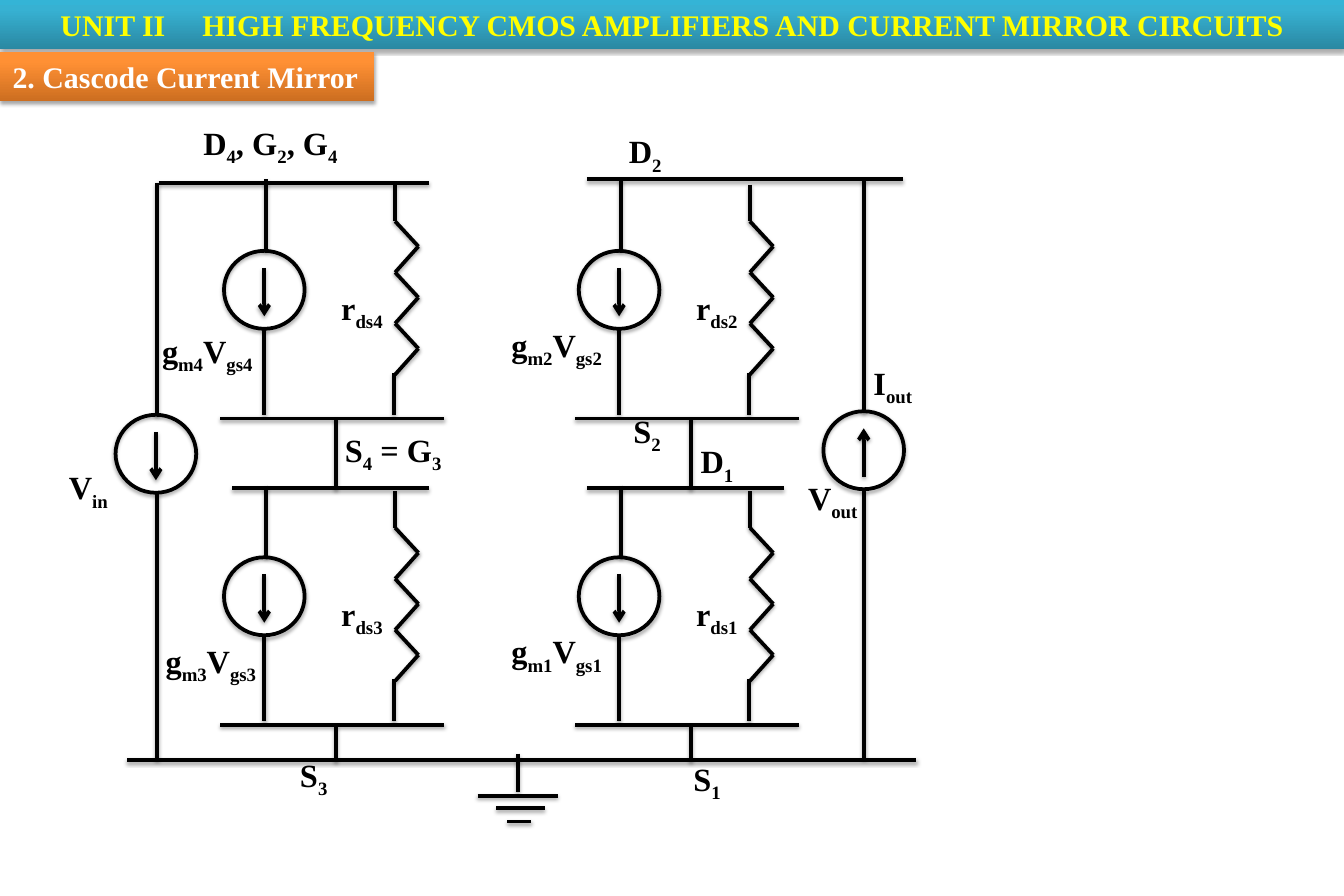
from dataclasses import dataclass
from itertools import pairwise

from lxml import etree
from pptx import Presentation, util as u
from pptx.dml.color import RGBColor
from pptx.enum import shapes as es, text as et
from pptx.oxml.ns import qn

SCALE = 9144  # EMU in one px, 100 px to the inch
FONT = "Times New Roman"
COLORS = {"ink": "000000", "title": "FFFF00", "topic": "FFFFFF"}
TEAL = {0: "2A88A2", 80: "37B1D2", 100: "34B4D6"}
ORANGE = {0: "CC6E20", 80: "FF9034", 100: "FF9136"}
DISC_W, DISC_H = 90, 87
STAGE_DX, STAGE_DY = 396, 342


@dataclass
class Wire:
    x1: int
    y1: int
    x2: int
    y2: int


@dataclass
class Source:
    """A current source, placed by the top left of its circle."""
    x: int
    y: int
    up: bool = False


@dataclass
class Label:
    """Text in which parts between ~ marks are set as subscripts."""
    text: str
    x: int
    y: int
    w: int
    wrap: bool = False


@dataclass
class Banner:
    text: str
    y: int
    w: int
    stops: dict[int, str]
    color: str
    wrap: bool
    align: et.PP_ALIGN


BANNERS = [
    Banner("UNIT II\t HIGH FREQUENCY CMOS AMPLIFIERS AND CURRENT MIRROR CIRCUITS",
           0, 1500, TEAL, "title", True, et.PP_ALIGN.CENTER),
    Banner("2. Cascode Current Mirror", 58, 418, ORANGE, "topic", False,
           et.PP_ALIGN.LEFT),
]
# One transistor model, as it stands at the upper left
STAGE_WIRES = [
    Wire(441, 206, 441, 247), Wire(440, 416, 440, 463),   # resistor leads
    Wire(297, 200, 297, 280), Wire(295, 367, 295, 463),   # source leads
    Wire(246, 467, 496, 467),                             # lower rail
]
RAILS = [
    Wire(177, 204, 479, 204), Wire(655, 200, 1008, 200),
    Wire(259, 545, 479, 545), Wire(655, 545, 875, 545),
    Wire(142, 848, 1022, 848),
]
LINKS = [Wire(x, top, x, end) for x in (375, 771)
         for top, end in ((466, 546), (810, 850))]
SIDES = [
    Wire(175, 204, 175, 464), Wire(175, 550, 175, 848),
    Wire(964, 200, 964, 460), Wire(964, 547, 964, 847),
]
GROUND = [
    Wire(578, 841, 578, 884), Wire(533, 888, 623, 888),
    Wire(554, 902, 608, 902), Wire(566, 917, 593, 917),
]
ENDS = [Source(129, 463), Source(919, 459, up=True)]
LABELS = [
    Label("D~4~, G~2~, G~4~", 217, 133, 192, wrap=True),
    Label("V~in~", 67, 517, 65),
    Label("S~4~ = G~3~", 375, 475, 132),
    Label("g~m4~V~gs4~", 171, 365, 131),
    Label("g~m3~V~gs3~", 175, 711, 131),
    Label("g~m2~V~gs2~", 561, 358, 131),
    Label("g~m1~V~gs1~", 561, 700, 131),
    Label("r~ds4~", 371, 317, 71),
    Label("r~ds3~", 371, 658, 71),
    Label("r~ds2~", 767, 317, 71),
    Label("r~ds1~", 767, 658, 71),
    Label("V~out~", 892, 529, 77),
    Label("I~out~", 965, 400, 68),
    Label("S~3~", 325, 838, 53),
    Label("S~1~", 764, 842, 53),
    Label("S~2~", 697, 454, 53),
    Label("D~1~", 772, 488, 59),
    Label("D~2~", 692, 142, 59),
]


def px(n: int) -> u.Emu:
    return u.Emu(n * SCALE)


def add_node(parent, tag: str, **attrs):
    return etree.SubElement(parent, qn(f"a:{tag}"), attrs)


def add_shade(shape) -> None:
    """Give the shape a soft shadow straight below it."""
    effects = add_node(shape._element.spPr, "effectLst")
    outer = add_node(effects, "outerShdw", blurRad="39370", dist="22860",
                     dir="5400000", rotWithShape="0")
    color = add_node(outer, "srgbClr", val=COLORS["ink"])
    add_node(color, "alpha", val="35000")


def set_pen(shape) -> None:
    shape.line.color.rgb = RGBColor.from_string(COLORS["ink"])
    shape.line.width = u.Pt(3)


def put_text(frame, words: str, *, size: int, color: str = "ink",
             wrap: bool = False, align=et.PP_ALIGN.LEFT) -> None:
    frame.word_wrap = wrap
    frame.auto_size = et.MSO_AUTO_SIZE.SHAPE_TO_FIT_TEXT
    para = frame.paragraphs[0]
    para.alignment = align
    for i, part in enumerate(words.split("~")):
        if not part:
            continue
        run = para.add_run()
        run.text = part
        run.font.name, run.font.size, run.font.bold = FONT, u.Pt(size), True
        run.font.color.rgb = RGBColor.from_string(COLORS[color])
        if i % 2:
            run._r.get_or_add_rPr().set("baseline", "-25000")


def draw_banner(slide, ban: Banner) -> None:
    box = slide.shapes.add_shape(es.MSO_SHAPE.RECTANGLE, 0, px(ban.y),
                                 px(ban.w), px(55))
    props = box._element.spPr
    grad = add_node(props, "gradFill", rotWithShape="1")
    stops = add_node(grad, "gsLst")
    for pos, color in ban.stops.items():
        stop = add_node(stops, "gs", pos=str(pos * 1000))
        add_node(stop, "srgbClr", val=color)
    add_node(grad, "lin", ang="16200000", scaled="0")
    box.line.fill.background()
    add_shade(box)
    frame = box.text_frame
    frame.margin_left = frame.margin_right = px(14)
    frame.margin_top = frame.margin_bottom = px(7)
    put_text(frame, ban.text, size=24, color=ban.color, wrap=ban.wrap,
             align=ban.align)


def draw_wire(slide, wire: Wire, dx: int = 0, dy: int = 0,
              arrow: bool = False) -> None:
    line = slide.shapes.add_connector(
        es.MSO_CONNECTOR.STRAIGHT, px(wire.x1 + dx), px(wire.y1 + dy),
        px(wire.x2 + dx), px(wire.y2 + dy))
    set_pen(line)
    if arrow:
        add_node(line.line._get_or_add_ln(), "tailEnd", type="arrow")
    add_shade(line)


def draw_source(slide, src: Source) -> None:
    disc = slide.shapes.add_shape(es.MSO_SHAPE.OVAL, px(src.x), px(src.y),
                                  px(DISC_W), px(DISC_H))
    disc.fill.background()
    set_pen(disc)
    add_shade(disc)
    mid = src.x + DISC_W // 2
    start, end = src.y + 19, src.y + 73
    if src.up:
        start, end = end, start
    draw_wire(slide, Wire(mid, start, mid, end), arrow=True)


def draw_stage(slide, dx: int, dy: int) -> None:
    """Draw one transistor model: a source beside a zigzag resistor."""
    bends = [(467 if i % 2 else 441, 247 + 57 * i // 2) for i in range(7)]
    zigzag = [Wire(*a, *b) for a, b in pairwise(bends)]
    for wire in STAGE_WIRES + zigzag:
        draw_wire(slide, wire, dx, dy)
    draw_source(slide, Source(250 + dx, 280 + dy))


def draw_label(slide, label: Label) -> None:
    box = slide.shapes.add_textbox(px(label.x), px(label.y), px(label.w), px(54))
    put_text(box.text_frame, label.text, size=26, wrap=label.wrap)


def main() -> None:
    deck = Presentation()
    deck.slide_width, deck.slide_height = px(1500), px(1000)
    slide = deck.slides.add_slide(deck.slide_layouts[6])
    for ban in BANNERS:
        draw_banner(slide, ban)
    for dx in (0, STAGE_DX):
        for dy in (0, STAGE_DY):
            draw_stage(slide, dx, dy)
    for wire in RAILS + LINKS + SIDES + GROUND:
        draw_wire(slide, wire)
    for src in ENDS:
        draw_source(slide, src)
    for label in LABELS:
        draw_label(slide, label)
    deck.save("out.pptx")


if __name__ == "__main__":
    main()
